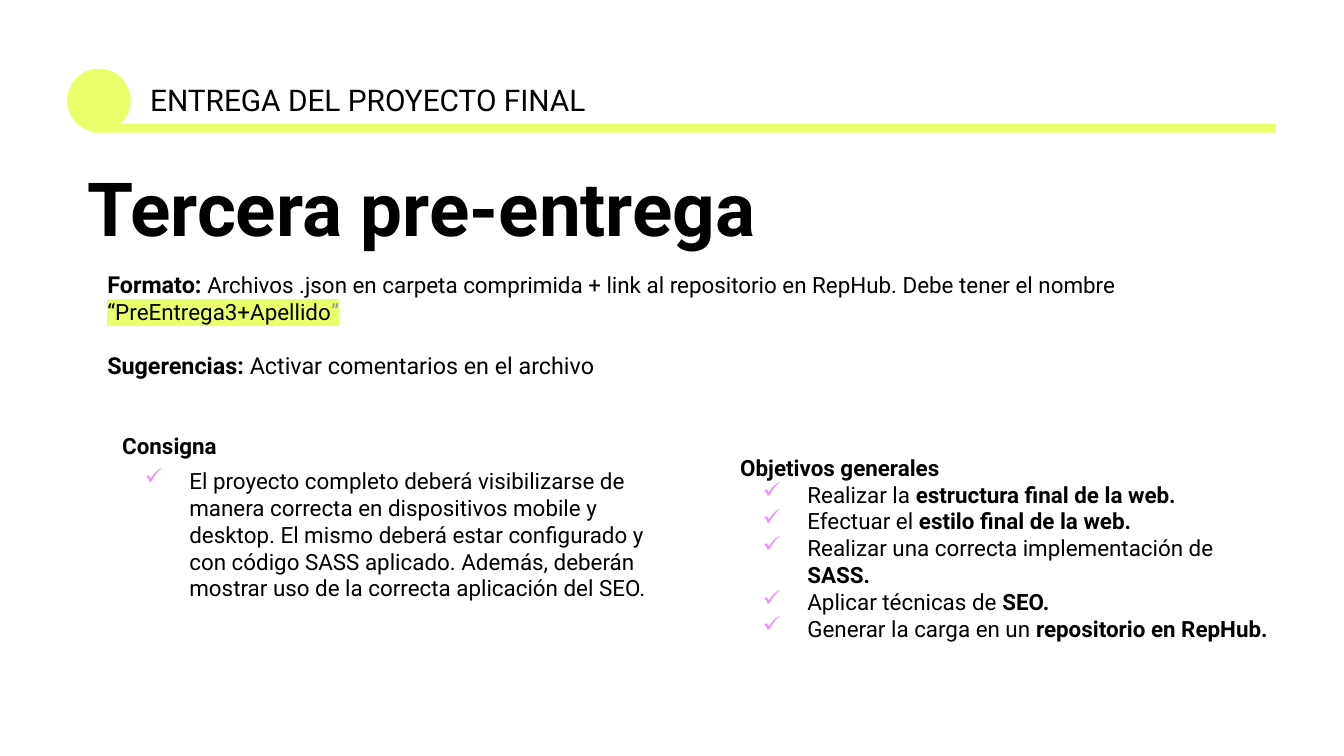
from lxml.etree import SubElement
from pptx import Presentation
from pptx.dml.color import RGBColor
from pptx.enum.shapes import MSO_SHAPE as Preset
from pptx.oxml.ns import qn
from pptx.util import Cm, Pt

LIME, PINK, BLACK, GREY = "EAFF6A", "EA90FF", "000000", "999999"


def rgb(hex_code):
    return RGBColor.from_string(hex_code)


class SlideBuilder:
    font_name = "Roboto"
    inset = Cm(0.25)
    bullet_indent = Cm(1.27)
    bullet_hang = Cm(0.84)

    def __init__(self, slide):
        self.slide = slide

    def shape(self, preset, left, top, width, height, color):
        figure = self.slide.shapes.add_shape(
            preset, Cm(left), Cm(top), Cm(width), Cm(height))
        figure.shadow.inherit = False
        figure.fill.solid()
        figure.fill.fore_color.rgb = rgb(color)
        figure.line.fill.background()

    def text_frame(self, left, top, width, height):
        frame = self.slide.shapes.add_textbox(
            Cm(left), Cm(top), Cm(width), Cm(height)).text_frame
        frame.word_wrap = True
        frame.margin_left = frame.margin_right = self.inset
        frame.margin_top = frame.margin_bottom = self.inset
        return frame

    def paragraph(self, frame, *runs, size=12, bullet=False, before=0, spacing=None):
        """Add a paragraph; each run is (text, dict of run options)."""
        first = frame.paragraphs[0]
        paragraph = first if not first.runs else frame.add_paragraph()
        if bullet:
            self.check_mark(paragraph)
        if before:
            paragraph.space_before = Pt(before)
        if spacing:
            paragraph.line_spacing = spacing
        paragraph.font.name = self.font_name
        paragraph.font.size = Pt(size)
        paragraph.font.color.rgb = rgb(BLACK)
        for text, options in runs:
            self.run(paragraph, text, **options)

    def check_mark(self, paragraph):
        properties = paragraph._p.get_or_add_pPr()
        properties.set("marL", str(self.bullet_indent))
        properties.set("indent", str(-self.bullet_hang))
        color = SubElement(properties, qn("a:buClr"))
        SubElement(color, qn("a:srgbClr"), val=PINK)
        SubElement(properties, qn("a:buChar"), char="✓")

    def run(self, paragraph, text, bold=None, size=None, color=None, highlight=None):
        run = paragraph.add_run()
        run.text = text
        run.font.bold = bold
        if size:
            run.font.size = Pt(size)
        if color:
            run.font.color.rgb = rgb(color)
        if highlight:
            mark = SubElement(run._r.get_or_add_rPr(), qn("a:highlight"))
            SubElement(mark, qn("a:srgbClr"), val=highlight)


def main():
    presentation = Presentation()
    presentation.slide_width, presentation.slide_height = Cm(25.4), Cm(14.29)
    builder = SlideBuilder(presentation.slides.add_slide(presentation.slide_layouts[6]))
    bold, plain = {"bold": True}, {}
    label = {"bold": True, "size": 12.5}

    builder.shape(Preset.OVAL, 1.27, 1.3, 1.2, 1.2, LIME)

    title = builder.text_frame(1.4, 3, 20.29, 2.06)
    builder.paragraph(title, ("Tercera pre-entrega", bold), size=40, spacing=0.9)

    section = builder.text_frame(2.59, 1.3, 8.89, 1.19)
    builder.paragraph(section, ("ENTREGA DEL PROYECTO FINAL", plain), size=16)

    goals = builder.text_frame(13.74, 8.33, 10.64, 5.21)
    builder.paragraph(goals, ("Objetivos generales", bold))
    for action, target in (
        ("Realizar la ", "estructura final de la web."),
        ("Efectuar el ", "estilo final de la web."),
        ("Realizar una correcta implementación de ", "SASS."),
        ("Aplicar técnicas de ", "SEO."),
        ("Generar la carga en un ", "repositorio en RepHub."),
    ):
        builder.paragraph(goals, (action, plain), (target, bold), bullet=True)

    task = builder.text_frame(2.06, 7.92, 10.64, 4.27)
    builder.paragraph(task, ("Consigna", bold))
    builder.paragraph(
        task,
        ("El proyecto completo deberá visibilizarse de manera correcta en "
         "dispositivos mobile y desktop. El mismo deberá estar configurado y con "
         "código SASS aplicado. Además, deberán mostrar uso de la correcta "
         "aplicación del SEO.", plain),
        bullet=True, before=4.3)

    builder.shape(Preset.RECTANGLE, 1.78, 2.34, 22.33, 0.17, LIME)

    delivery = builder.text_frame(1.78, 4.85, 21.87, 2.62)
    builder.paragraph(
        delivery,
        ("Formato: ", label),
        ("Archivos .json en carpeta comprimida + link al repositorio en RepHub. "
         "Debe tener el nombre ", plain),
        ("“PreEntrega3+Apellido", {"highlight": LIME}),
        ("”", {"color": GREY, "highlight": LIME}))
    builder.paragraph(
        delivery,
        ("Sugerencias: ", label),
        ("Activar comentarios en el archivo", {"size": 12.5}),
        before=14.2)

    presentation.save("out.pptx")


if __name__ == "__main__":
    main()
